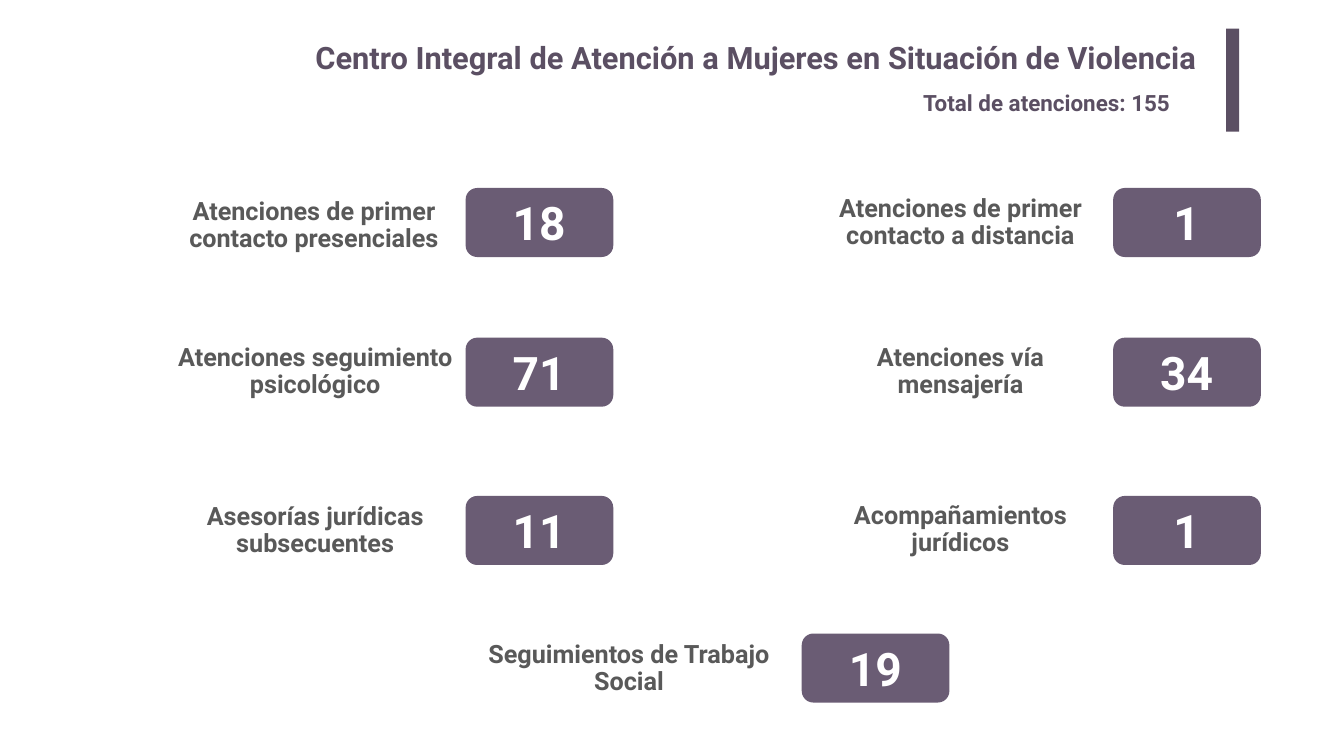
from dataclasses import dataclass

from pptx import Presentation
from pptx.dml.color import RGBColor
from pptx.enum.shapes import MSO_SHAPE as Shape
from pptx.enum.text import MSO_ANCHOR as Anchor, MSO_AUTO_SIZE as AutoSize, PP_ALIGN as Align
from pptx.util import Pt

PX = 9144  # EMU per px, 100 px to the inch


@dataclass(frozen=True)
class Theme:
    font: str = "Roboto"
    heading: str = "5B4F63"
    badge: str = "6A5C74"
    label: str = "595959"
    figure: str = "FFFFFF"
    title_size: int = 44
    subtitle_size: int = 32
    label_size: int = 36
    figure_size: int = 66


def write_text(frame, text, *, font, size, color, align=Align.LEFT,
               anchor=Anchor.TOP, spacing=None, inset=(10, 5), grow=False):
    """Fill a text frame with one bold paragraph."""
    frame.word_wrap = True
    frame.auto_size = AutoSize.SHAPE_TO_FIT_TEXT if grow else AutoSize.NONE
    frame.vertical_anchor = anchor
    frame.margin_left = frame.margin_right = inset[0] * PX
    frame.margin_top = frame.margin_bottom = inset[1] * PX
    paragraph = frame.paragraphs[0]
    paragraph.alignment = align
    if spacing:
        paragraph.line_spacing = spacing
    run = paragraph.add_run()
    run.text = text
    run.font.name = font
    run.font.size = Pt(size)
    run.font.bold = True
    run.font.color.rgb = RGBColor.from_string(color)


class SlideBuilder:
    def __init__(self, slide, theme):
        self.slide = slide
        self.theme = theme

    def block(self, kind, box, color):
        shape = self.slide.shapes.add_shape(kind, *(n * PX for n in box))
        shape.shadow.inherit = False
        shape.fill.solid()
        shape.fill.fore_color.rgb = RGBColor.from_string(color)
        shape.line.fill.background()
        return shape

    def text(self, box, text, **style):
        shape = self.slide.shapes.add_textbox(*(n * PX for n in box))
        write_text(shape.text_frame, text, font=self.theme.font, **style)

    def label(self, box, text):
        self.text(box, text, size=self.theme.label_size, color=self.theme.label,
                  align=Align.CENTER, anchor=Anchor.MIDDLE, spacing=0.9)

    def badge(self, left, top, figure):
        shape = self.block(Shape.ROUNDED_RECTANGLE, (left, top, 293, 137), self.theme.badge)
        shape.adjustments[0] = 0.167
        self.text((left + 44, top + 8, 204, 121), figure, size=self.theme.figure_size,
                  color=self.theme.figure, align=Align.CENTER, grow=True)


LEFT, RIGHT = 924, 2209
ROWS = (373, 670, 984)

# Badge left, badge top, figure, label box, label
INDICATORS = [
    (LEFT, ROWS[0], "18", (349, 380, 548, 137), "Atenciones de primer contacto presenciales"),
    (RIGHT, ROWS[0], "1", (1648, 381, 516, 121), "Atenciones de primer contacto a distancia"),
    (LEFT, ROWS[1], "71", (235, 712, 781, 53), "Atenciones seguimiento psicológico"),
    (RIGHT, ROWS[1], "34", (1610, 686, 592, 105), "Atenciones vía mensajería"),
    (LEFT, ROWS[2], "11", (323, 1013, 605, 80), "Asesorías jurídicas subsecuentes"),
    (RIGHT, ROWS[2], "1", (1583, 1020, 646, 64), "Acompañamientos jurídicos"),
    (1591, 1257, "19", (924, 1257, 648, 141), "Seguimientos de Trabajo Social"),
]


def main():
    presentation = Presentation()
    presentation.slide_width = 2667 * PX
    presentation.slide_height = 1500 * PX
    slide = presentation.slides.add_slide(presentation.slide_layouts[6])
    theme = Theme()
    builder = SlideBuilder(slide, theme)

    # Heading
    builder.text((366, 67, 2030, 102),
                 "Centro Integral de Atención a Mujeres en Situación de Violencia",
                 size=theme.title_size, color=theme.heading, align=Align.RIGHT, inset=(20, 10))
    builder.block(Shape.RECTANGLE, (2433, 57, 26, 204), theme.heading)
    builder.text((1822, 171, 592, 64), "Total de atenciones: 155",
                 size=theme.subtitle_size, color=theme.heading, grow=True)

    # Indicators
    for left, top, figure, label_box, label in INDICATORS:
        builder.label(label_box, label)
        builder.badge(left, top, figure)

    presentation.save("out.pptx")


if __name__ == "__main__":
    main()
